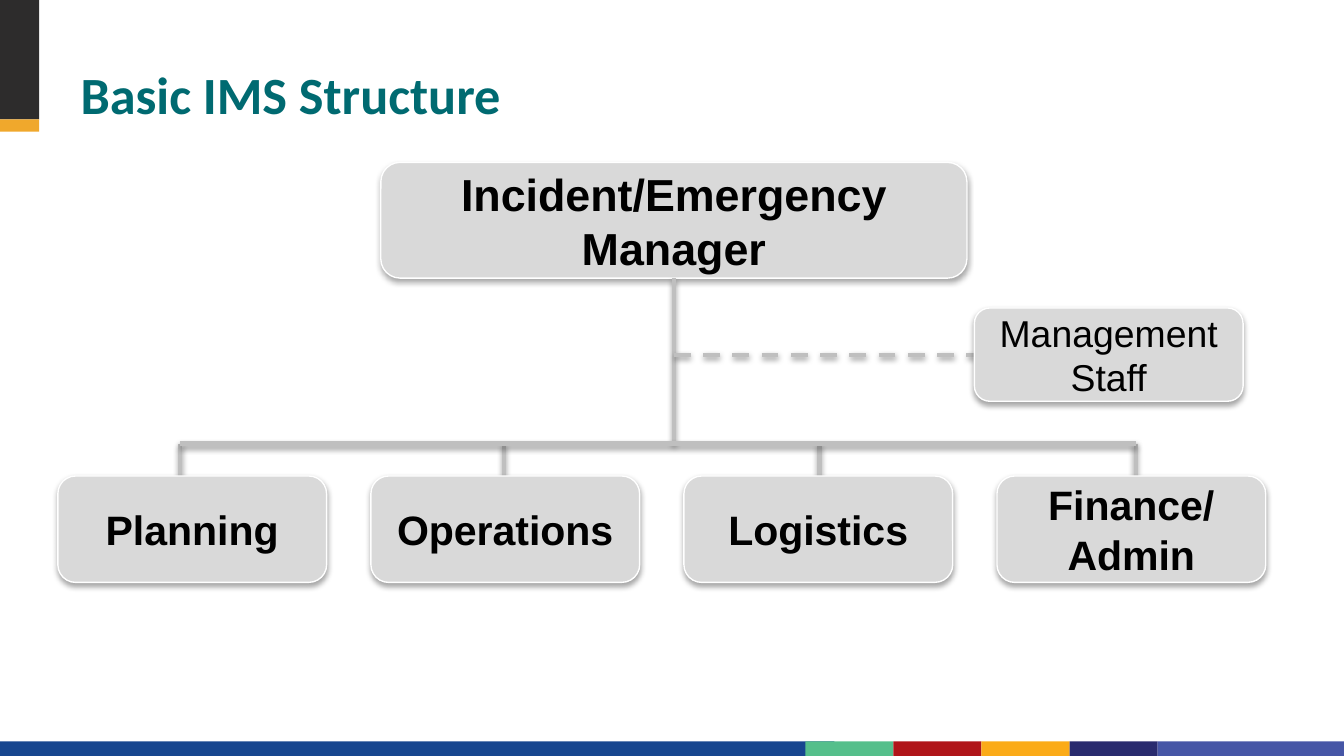
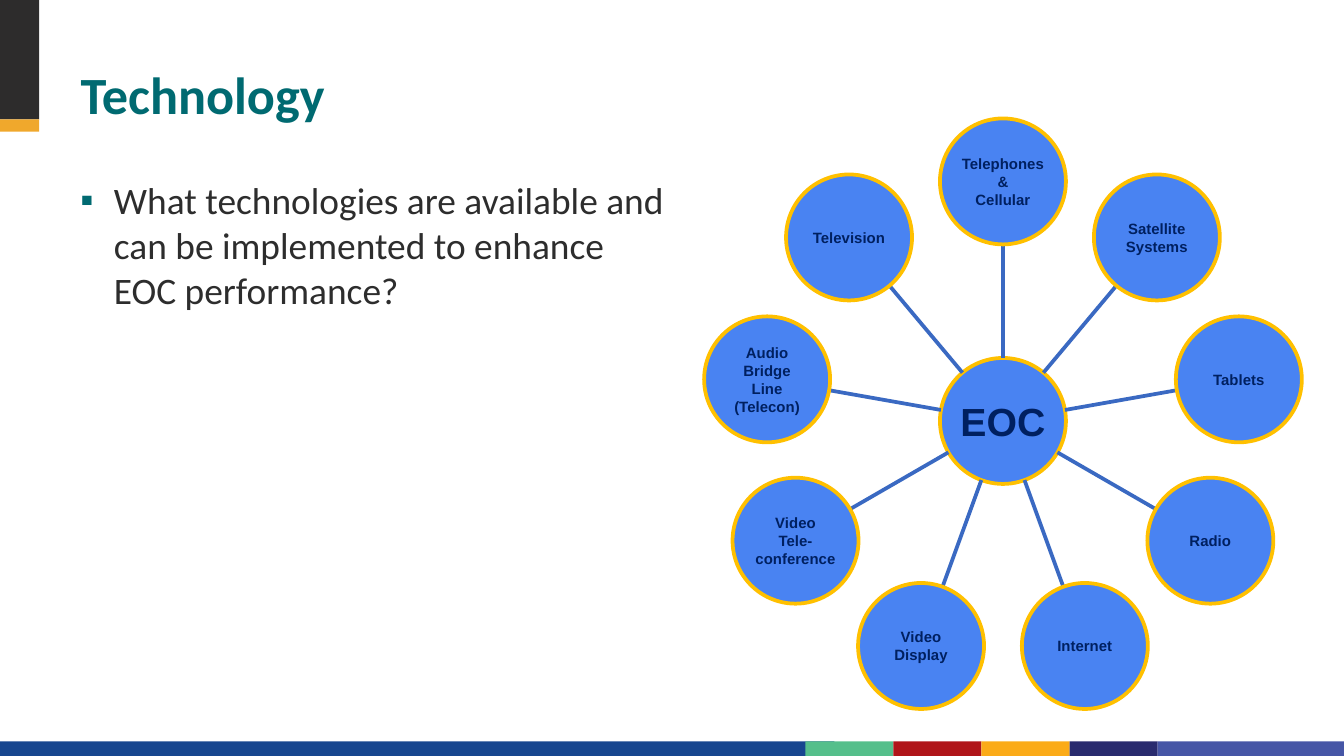
from math import cos, radians, sin

from lxml import etree
from pptx import Presentation
from pptx.dml.color import RGBColor
from pptx.enum.dml import MSO_LINE
from pptx.enum.shapes import MSO_CONNECTOR, MSO_SHAPE
from pptx.enum.text import MSO_ANCHOR, MSO_AUTO_SIZE, PP_ALIGN
from pptx.oxml.ns import qn
from pptx.util import Pt

RECT, ROUNDED, OVAL = MSO_SHAPE.RECTANGLE, MSO_SHAPE.ROUNDED_RECTANGLE, MSO_SHAPE.OVAL
STRAIGHT, DASH = MSO_CONNECTOR.STRAIGHT, MSO_LINE.DASH
LEFT, CENTER = PP_ALIGN.LEFT, PP_ALIGN.CENTER
MIDDLE, BOTTOM = MSO_ANCHOR.MIDDLE, MSO_ANCHOR.BOTTOM
NO_AUTOFIT = MSO_AUTO_SIZE.NONE
SIDE_LEFT, SIDE_BOTTOM = 1, 2
TITLE_ONLY = 5
WIDTH, HEIGHT = 720, 405

COLORS = {
    "teal": "006A71", "body": "2D2D2D", "charcoal": "2D2C2C", "amber": "F0A82C",
    "blue": "17468F", "green": "55BF8B", "red": "B01519", "orange": "FBAB18",
    "indigo": "292B6E", "violet": "4656A6", "black": "000000", "white": "FFFFFF",
    "box": "D9D9D9", "branch": "BFBFBF", "circle": "4983F2", "ring": "FFC000",
    "spoke": "3A69C2", "navy": "002060",
}


class Deck:
    def __init__(self):
        self.deck = Presentation()
        self.deck.slide_width, self.deck.slide_height = Pt(WIDTH), Pt(HEIGHT)
        self.page = None

    def color(self, name):
        return RGBColor.from_string(COLORS[name])

    def format_text(self, frame, size, color, font="Arial", bold=False, align=CENTER):
        for para in frame.paragraphs:
            para.alignment = align
            for span in para.runs:
                span.font.name, span.font.size = font, Pt(size)
                span.font.bold = bold
                span.font.color.rgb = self.color(color)

    def add_page(self, title):
        self.page = self.deck.slides.add_slide(self.deck.slide_layouts[TITLE_ONLY])
        self.add_bands()
        box = self.page.shapes.title
        box.left, box.top, box.width, box.height = Pt(36), Pt(16.5), Pt(648), Pt(54)
        frame = box.text_frame
        frame.text = title
        frame.auto_size, frame.vertical_anchor = NO_AUTOFIT, BOTTOM
        frame.paragraphs[0].line_spacing = Pt(30)
        self.format_text(frame, 28, "teal", "Calibri", True, LEFT)

    def add_bands(self):
        top, start, step = 397.2, 431.4, 47.2
        self.add_shape(RECT, 0, top, 447, HEIGHT - top, "blue")
        for index, name in enumerate(("green", "red", "orange", "indigo", "violet")):
            left = start + index * step
            width = WIDTH - left if name == "violet" else step
            self.add_shape(RECT, left, top, width, HEIGHT - top, name)
        self.add_shape(RECT, 0, 0, 21, 64, "charcoal")
        self.add_shape(RECT, 0, 64, 21, 6.5, "amber")

    def add_shape(self, kind, left, top, width, height, fill, line=None, weight=1):
        shape = self.page.shapes.add_shape(kind, Pt(left), Pt(top), Pt(width), Pt(height))
        shape.shadow.inherit = False
        shape.fill.solid()
        shape.fill.fore_color.rgb = self.color(fill)
        if line:
            shape.line.color.rgb = self.color(line)
            shape.line.width = Pt(weight)
        else:
            shape.line.fill.background()
        return shape

    def add_shadow(self, shape, distance, opacity):
        effects = shape.element.spPr.find(qn("a:effectLst"))
        shadow = etree.SubElement(
            effects, qn("a:outerShdw"), blurRad=str(Pt(3.1)), dist=str(Pt(distance)),
            dir="5400000", rotWithShape="0")
        black = etree.SubElement(shadow, qn("a:srgbClr"), val=COLORS["black"])
        etree.SubElement(black, qn("a:alpha"), val=str(opacity * 1000))

    def add_line(self, x1, y1, x2, y2, color, weight):
        line = self.page.shapes.add_connector(STRAIGHT, Pt(x1), Pt(y1), Pt(x2), Pt(y2))
        line.line.color.rgb = self.color(color)
        line.line.width = Pt(weight)
        etree.SubElement(line.element.spPr, qn("a:effectLst"))
        return line

    def add_branch(self, x1, y1, x2, y2):
        line = self.add_line(x1, y1, x2, y2, "branch", 2.25)
        self.add_shadow(line, 1.6, 38)
        return line

    def add_box(self, text, left, top, width, height, size, bold=True):
        box = self.add_shape(ROUNDED, left, top, width, height, "box", "white", 0.75)
        self.add_shadow(box, 1.8, 35)
        frame = box.text_frame
        frame.text = text
        frame.word_wrap, frame.vertical_anchor = True, MIDDLE
        self.format_text(frame, size, "black", bold=bold)
        return box

    def add_circle(self, text, x, y, radius, size):
        circle = self.add_shape(OVAL, x - radius, y - radius, 2 * radius, 2 * radius,
                                "circle", "ring", 2)
        frame = circle.text_frame
        frame.text = text
        frame.word_wrap, frame.vertical_anchor = True, MIDDLE
        frame.margin_left = frame.margin_right = Pt(0.7)
        frame.margin_top = frame.margin_bottom = Pt(0.7)
        self.format_text(frame, size, "navy", bold=True)

    def add_bullet(self, text, left, top, width, height):
        box = self.page.shapes.add_textbox(Pt(left), Pt(top), Pt(width), Pt(height))
        frame = box.text_frame
        frame.word_wrap = True
        para = frame.paragraphs[0]
        para.text = text
        para.space_before = Pt(4)
        self.format_text(frame, 20, "body", "Calibri", align=LEFT)
        properties = para._p.get_or_add_pPr()
        properties.set("marL", str(Pt(18)))
        properties.set("indent", str(Pt(-18)))
        bullet_color = etree.SubElement(properties, qn("a:buClr"))
        etree.SubElement(bullet_color, qn("a:srgbClr"), val=COLORS["teal"])
        etree.SubElement(properties, qn("a:buFont"), typeface="Arial")
        etree.SubElement(properties, qn("a:buChar"), char="▪")


def build_structure(deck):
    deck.add_page("Basic IMS Structure")
    center, bus, box_top = 361, 237.6, 255
    departments = (("Planning", 96.5), ("Operations", 270),
                   ("Logistics", 439), ("Finance/\nAdmin", 608.4))
    manager = deck.add_box("Incident/Emergency Manager", 204, 87, 314, 62, 24)
    stem = deck.add_branch(center, 149, center, bus)
    stem.begin_connect(manager, SIDE_BOTTOM)
    for index, (name, x) in enumerate(departments):
        deck.add_branch(x, bus, x, box_top + 2)
        deck.add_box(name, 31 + index * 167.7, box_top, 144, 57, 22)
    deck.add_branch(departments[0][1], bus, departments[-1][1], bus)
    staff_link = deck.add_branch(center, 190, 522, 190)
    staff_link.line.dash_style = DASH
    staff = deck.add_box("Management Staff", 522, 165, 144, 50, 20, False)
    staff_link.end_connect(staff, SIDE_LEFT)


def build_technology(deck):
    deck.add_page("Technology")
    deck.add_bullet("What technologies are available and \vcan be implemented to enhance "
                    "\vEOC performance?", 36, 91.5, 642, 263)
    x, y, radius, orbit = 537.3, 225.5, 33.75, 128.3
    technologies = (
        "Telephones\n&\nCellular", "Satellite\nSystems", "Tablets", "Radio", "Internet",
        "Video\nDisplay", "Video\nTele-\nconference", "Audio\nBridge\nLine (Telecon)",
        "Television")
    deck.add_circle("EOC", x, y, radius, 21)
    for index, name in enumerate(technologies):
        angle = radians(360 / len(technologies) * index)
        across, up = sin(angle), cos(angle)
        outer = orbit - radius
        deck.add_line(x + radius * across, y - radius * up,
                      x + outer * across, y - outer * up, "spoke", 2)
        deck.add_circle(name, x + orbit * across, y - orbit * up, radius, 8)


def main():
    deck = Deck()
    build_structure(deck)
    build_technology(deck)
    deck.deck.save("out.pptx")


if __name__ == "__main__":
    main()
